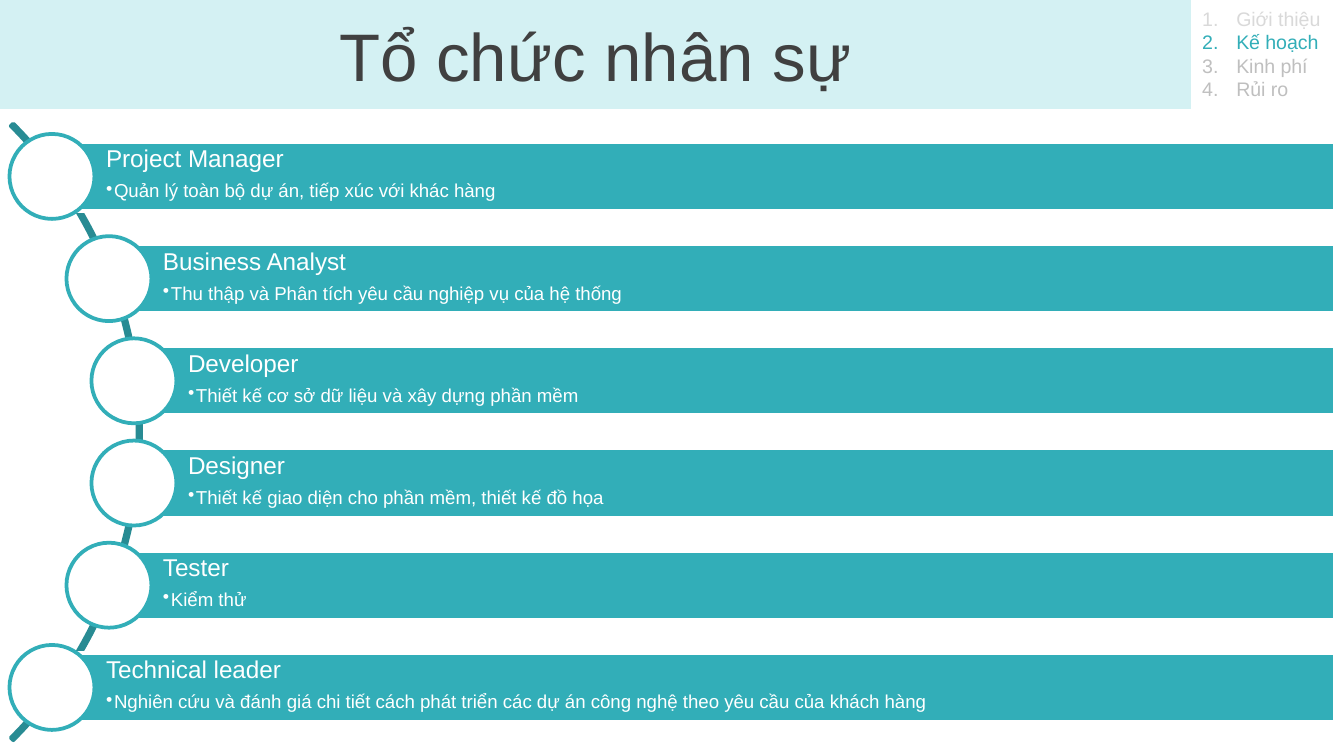
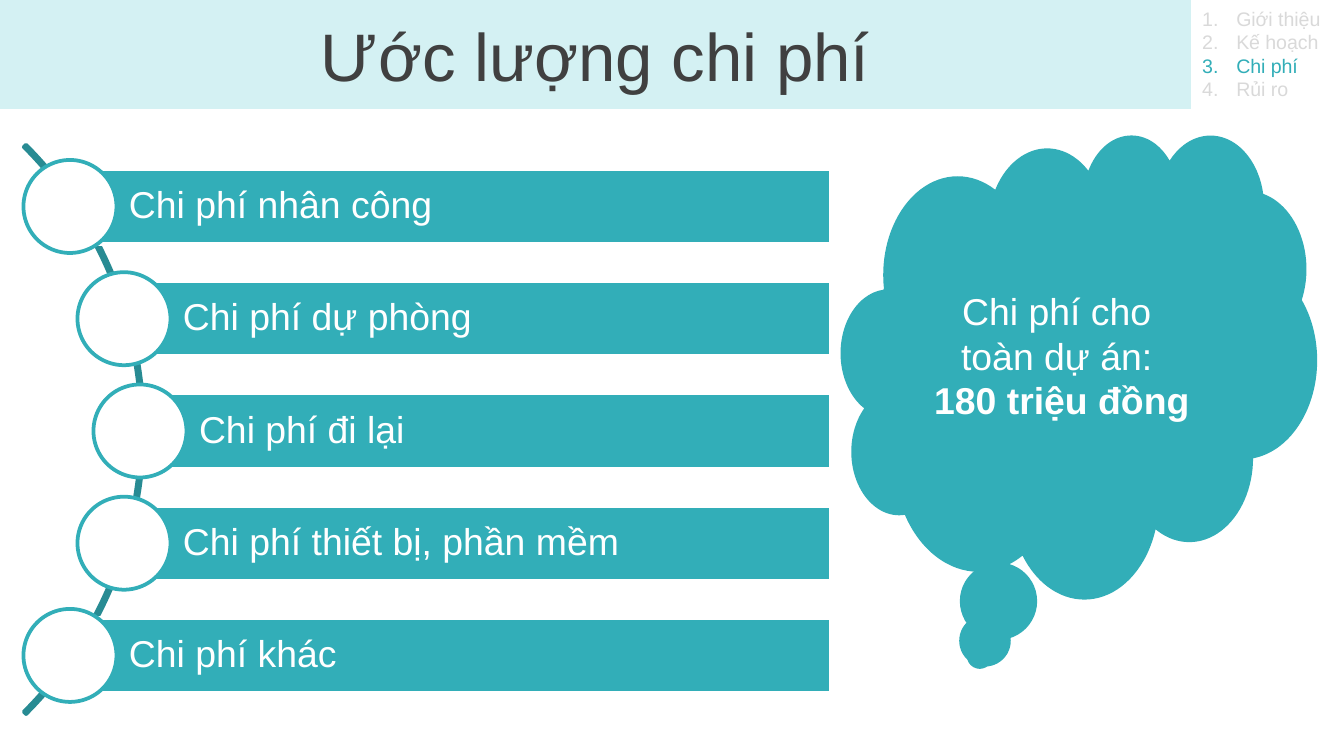
from dataclasses import dataclass

from lxml.etree import SubElement
from pptx import Presentation
from pptx.dml.color import RGBColor
from pptx.enum.shapes import MSO_SHAPE
from pptx.enum.text import MSO_ANCHOR, PP_ALIGN
from pptx.oxml.ns import qn
from pptx.util import Pt

# Palette and type
WHITE = RGBColor(0xFF, 0xFF, 0xFF)
TEAL = RGBColor(0x32, 0xAE, 0xB8)
DARK_TEAL = RGBColor(0x28, 0x8B, 0x93)
PALE_TEAL = RGBColor(0xD4, 0xF1, 0xF3)
CHARCOAL = RGBColor(0x40, 0x40, 0x40)
LIGHT_GREY = RGBColor(0xD9, 0xD9, 0xD9)
MID_GREY = RGBColor(0xBF, 0xBF, 0xBF)
FONT = "Arial"

# Geometry in pixels
EMU_PER_PX = 914400 / 134.4
SLIDE_W, SLIDE_H = 1344, 756
HEADER_W, HEADER_H = 1191, 109


@dataclass(frozen=True)
class Entry:
    heading: str
    detail: str = ""


@dataclass(frozen=True)
class Step:
    text: str
    color: RGBColor


@dataclass(frozen=True)
class CurvedList:
    entries: tuple[Entry, ...]
    lefts: tuple[int, ...]  # bar left edges, which are also the circle centres
    right: int
    first_top: int
    last_top: int
    bar_h: int
    circle: int
    arc_left: int
    arc_top: int
    arc_size: int
    inset_left: int
    inset: int
    size: int
    anchor: MSO_ANCHOR


def px(length: float) -> int:
    return round(length * EMU_PER_PX)


def add_box(slide, kind, left, top, width, height, fill=None, line=None):
    shape = slide.shapes.add_shape(kind, px(left), px(top), px(width), px(height))
    shape.shadow.inherit = False
    if fill is None:
        shape.fill.background()
    else:
        shape.fill.solid()
        shape.fill.fore_color.rgb = fill
    if line is None:
        shape.line.fill.background()
    else:
        shape.line.color.rgb = line
        shape.line.width = Pt(2)
    return shape


def style(paragraph, size: float, color: RGBColor, align=PP_ALIGN.LEFT) -> None:
    paragraph.alignment = align
    for run in paragraph.runs:
        run.font.name = FONT
        run.font.size = Pt(size)
        run.font.color.rgb = color


def add_marker(paragraph, indent: int, tag: str, **attributes: str) -> None:
    properties = paragraph._p.get_or_add_pPr()
    properties.set("marL", str(px(indent)))
    properties.set("indent", str(-px(indent)))
    SubElement(properties, qn(tag), **attributes)


def add_header(slide, title: str, steps: tuple[Step, ...]) -> None:
    # Numbered agenda in the corner
    agenda = slide.shapes.add_textbox(
        px(HEADER_W - 2), 0, px(SLIDE_W - HEADER_W + 2), px(HEADER_H))
    frame = agenda.text_frame
    frame.word_wrap = True
    frame.text = "\n".join(step.text for step in steps)
    for paragraph, step in zip(frame.paragraphs, steps):
        style(paragraph, 10.5, step.color)
        add_marker(paragraph, 34, "a:buAutoNum", type="arabicPeriod")

    # Title band
    band = add_box(slide, MSO_SHAPE.RECTANGLE, 0, 0, HEADER_W, HEADER_H, PALE_TEAL)
    band.text_frame.text = title
    heading = band.text_frame.paragraphs[0]
    heading.space_before = Pt(7.2)
    style(heading, 36, CHARCOAL, PP_ALIGN.CENTER)


def fill_bar(frame, entry: Entry, layout: CurvedList) -> None:
    frame.word_wrap = True
    frame.vertical_anchor = layout.anchor
    frame.margin_left = px(layout.inset_left)
    frame.margin_top = frame.margin_right = frame.margin_bottom = px(layout.inset)
    frame.text = entry.heading
    heading = frame.paragraphs[0]
    heading.line_spacing = 0.9
    heading.space_after = Pt(0.35 * layout.size)
    style(heading, layout.size, WHITE)
    if entry.detail:
        detail = frame.add_paragraph()
        detail.text = entry.detail
        detail.level = 1
        detail.line_spacing = 0.9
        detail.space_after = Pt(1.5)
        style(detail, 10, WHITE)
        add_marker(detail, 8, "a:buChar", char="•")


def add_curved_list(slide, layout: CurvedList) -> None:
    # Arc behind the circles
    arc = add_box(slide, MSO_SHAPE.BLOCK_ARC, layout.arc_left, layout.arc_top,
                  layout.arc_size, layout.arc_size, line=DARK_TEAL)
    for index, value in enumerate((189, 27, 0.004)):
        arc.adjustments[index] = value

    # Evenly spaced bars, each with a circle on its left edge
    pitch = (layout.last_top - layout.first_top) / (len(layout.entries) - 1)
    for row, (entry, left) in enumerate(zip(layout.entries, layout.lefts)):
        top = layout.first_top + row * pitch
        bar = add_box(slide, MSO_SHAPE.RECTANGLE, left, top,
                      layout.right - left, layout.bar_h, TEAL, WHITE)
        fill_bar(bar.text_frame, entry, layout)
        add_box(slide, MSO_SHAPE.OVAL, left - layout.circle / 2,
                top + (layout.bar_h - layout.circle) / 2,
                layout.circle, layout.circle, WHITE, TEAL)


def add_total_cloud(slide, lines: tuple[str, ...]) -> None:
    cloud = add_box(slide, MSO_SHAPE.CLOUD_CALLOUT, 841, 134, 476, 464, TEAL)
    frame = cloud.text_frame
    frame.vertical_anchor = MSO_ANCHOR.MIDDLE
    frame.text = "\n".join(lines)
    for paragraph in frame.paragraphs:
        style(paragraph, 20, WHITE, PP_ALIGN.CENTER)
    frame.paragraphs[-1].runs[0].font.bold = True


STAFF = CurvedList(
    entries=(
        Entry("Project Manager", "Quản lý toàn bộ dự án, tiếp xúc với khác hàng"),
        Entry("Business Analyst",
              "Thu thập và Phân tích yêu cầu nghiệp vụ của hệ thống"),
        Entry("Developer", "Thiết kế cơ sở dữ liệu và xây dựng phần mềm"),
        Entry("Designer", "Thiết kế giao diện cho phần mềm, thiết kế đồ họa"),
        Entry("Tester", "Kiểm thử"),
        Entry("Technical leader",
              "Nghiên cứu và đánh giá chi tiết cách phát triển các dự án "
              "công nghệ theo yêu cầu của khách hàng"),
    ),
    lefts=(52, 109, 134, 134, 109, 52), right=1335,
    first_top=142, last_top=653, bar_h=69, circle=85,
    arc_left=-731, arc_top=-4, arc_size=872,
    inset_left=54, inset=5, size=13, anchor=MSO_ANCHOR.TOP,
)

COSTS = CurvedList(
    entries=(
        Entry("Chi phí nhân công"),
        Entry("Chi phí dự phòng"),
        Entry("Chi phí đi lại"),
        Entry("Chi phí thiết bị, phần mềm"),
        Entry("Chi phí khác"),
    ),
    lefts=(70, 124, 140, 124, 70), right=831,
    first_top=169, last_top=618, bar_h=75, circle=93,
    arc_left=-661, arc_top=27, arc_size=805,
    inset_left=59, inset=8, size=20, anchor=MSO_ANCHOR.MIDDLE,
)

presentation = Presentation()
presentation.slide_width = px(SLIDE_W)
presentation.slide_height = px(SLIDE_H)
blank = presentation.slide_layouts[6]

# Slide 1: staffing
staffing = presentation.slides.add_slide(blank)
add_header(staffing, "Tổ chức nhân sự", (
    Step("Giới thiệu", LIGHT_GREY), Step("Kế hoạch", TEAL),
    Step("Kinh phí", MID_GREY), Step("Rủi ro", MID_GREY)))
add_curved_list(staffing, STAFF)

# Slide 2: cost estimate
estimate = presentation.slides.add_slide(blank)
add_header(estimate, "Ước lượng chi phí", (
    Step("Giới thiệu", LIGHT_GREY), Step("Kế hoạch", LIGHT_GREY),
    Step("Chi phí", TEAL), Step("Rủi ro", LIGHT_GREY)))
add_curved_list(estimate, COSTS)
add_total_cloud(estimate, ("Chi phí cho ", "toàn dự án: ", "180 triệu đồng"))

presentation.save("out.pptx")
